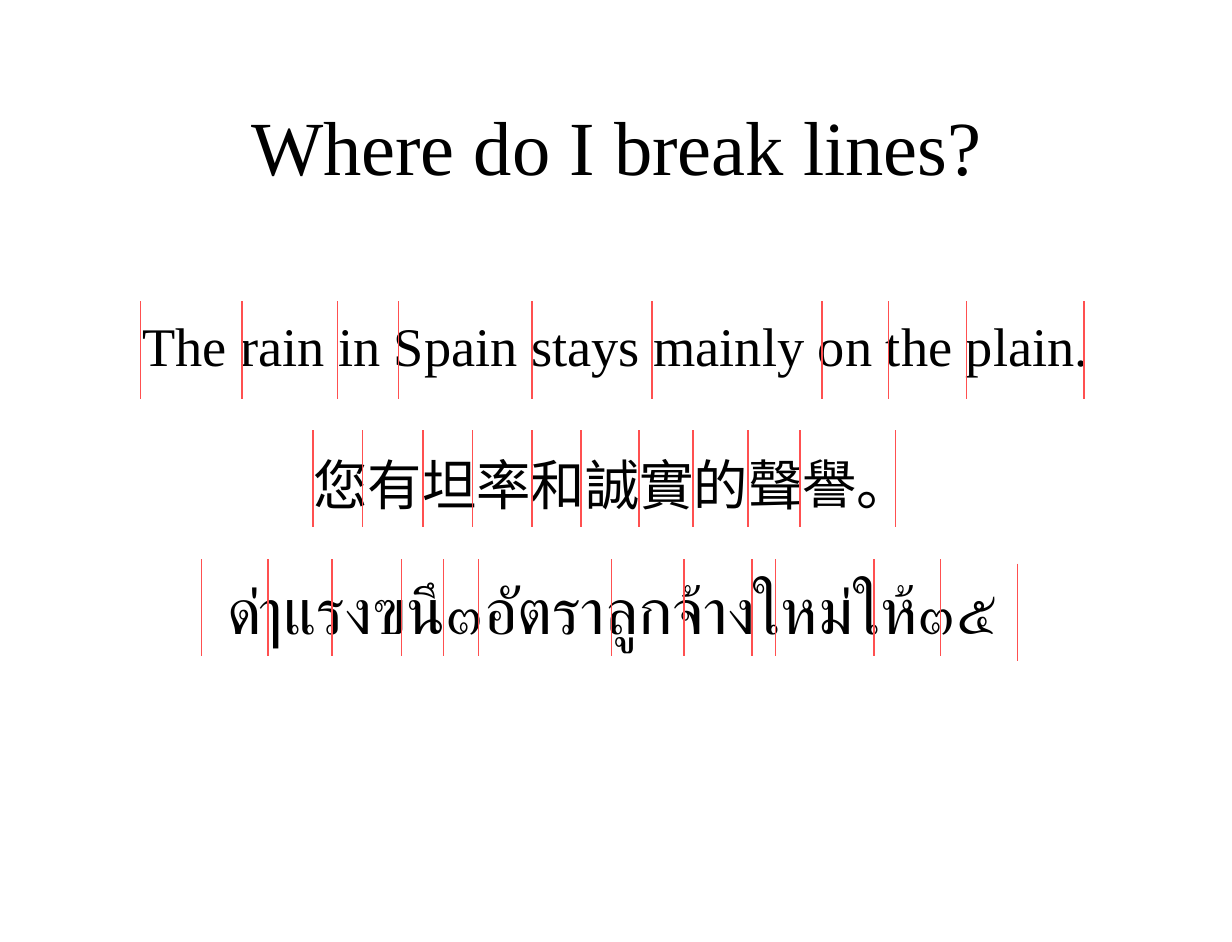
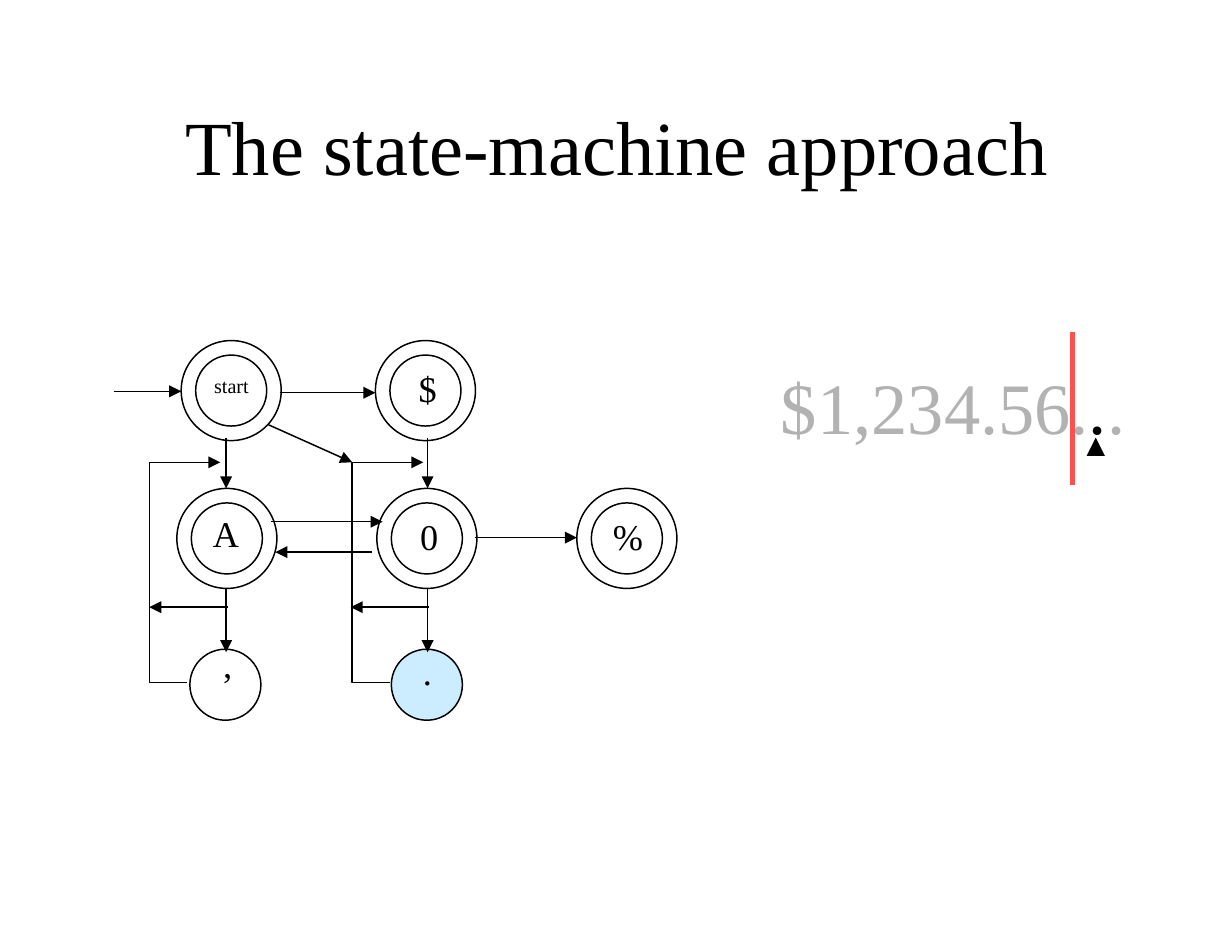
from dataclasses import dataclass

from lxml.etree import SubElement
from pptx import Presentation
from pptx.dml.color import RGBColor
from pptx.enum.shapes import MSO_CONNECTOR, MSO_SHAPE
from pptx.enum.text import MSO_ANCHOR, MSO_AUTO_SIZE, PP_ALIGN
from pptx.oxml.ns import qn
from pptx.util import Inches, Pt


@dataclass(frozen=True)
class Theme:
    font: str = "Times New Roman"
    script_font: str = "Calibri"
    ink: RGBColor = RGBColor(0x00, 0x00, 0x00)
    mark: RGBColor = RGBColor(0xFF, 0x50, 0x50)
    faded: RGBColor = RGBColor(0xB2, 0xB2, 0xB2)
    current: RGBColor = RGBColor(0xCC, 0xEC, 0xFF)
    title_size: float = 38
    sample_size: float = 27
    thai_size: float = 32
    amount_size: float = 36
    label_size: float = 18
    small_size: float = 10
    thin: float = 0.75


class Deck:
    TITLE_LAYOUTS = {"body": 1, "title only": 5}
    OUTER, INNER = 0.69, 0.49

    def __init__(self, theme):
        self.theme = theme
        self.presentation = Presentation()
        self.presentation.slide_width = Inches(8.5)
        self.presentation.slide_height = Inches(6.5)
        self.slide = None

    def add_slide(self, title, layout):
        layouts = self.presentation.slide_layouts
        self.slide = self.presentation.slides.add_slide(layouts[self.TITLE_LAYOUTS[layout]])
        shape = self.slide.shapes.title
        self.place(shape, 0.64, 0.58, 7.23, 1.08)
        self.fill_text(shape, [(title, self.theme.ink)], self.theme.title_size,
                       align=PP_ALIGN.CENTER, insets=(0.09, 0.1))

    def place(self, shape, left, top, width, height):
        shape.left, shape.top = Inches(left), Inches(top)
        shape.width, shape.height = Inches(width), Inches(height)

    def fill_text(self, shape, runs, size, font=None, align=PP_ALIGN.LEFT,
                  anchor=MSO_ANCHOR.TOP, insets=(0.1, 0.05), spacing=1.0):
        """Fill a shape with one paragraph of (text, color) runs."""
        frame = shape.text_frame
        frame.word_wrap = True
        frame.auto_size = MSO_AUTO_SIZE.NONE
        frame.vertical_anchor = anchor
        frame.margin_left = frame.margin_right = Inches(insets[0])
        frame.margin_top = frame.margin_bottom = Inches(insets[1])
        paragraph = frame.paragraphs[0]
        paragraph.alignment = align
        paragraph.line_spacing = spacing
        paragraph.space_before = Pt(0)
        for text, color in runs:
            run = paragraph.add_run()
            run.text = text
            run.font.name = font or self.theme.font
            run.font.size = Pt(size)
            run.font.color.rgb = color

    def text(self, runs, left, top, width, height, size, **style):
        shape = self.slide.shapes.add_textbox(
            Inches(left), Inches(top), Inches(width), Inches(height))
        self.fill_text(shape, runs, size, **style)

    def label(self, text, left, top, size=None):
        self.text([(text, self.theme.ink)], left, top, 0.57, 0.46,
                  size or self.theme.label_size)

    def body(self, text, left, top, width, height, size, **style):
        shape = self.slide.placeholders[1]
        self.place(shape, left, top, width, height)
        properties = shape.text_frame.paragraphs[0]._p.get_or_add_pPr()
        properties.set("marL", "0")
        properties.set("indent", "0")
        SubElement(properties, qn("a:buNone"))
        self.fill_text(shape, [(text, self.theme.ink)], size, **style)

    def stroke(self, shape, color=None, width=None, arrow=False):
        shape.line.color.rgb = color or self.theme.ink
        shape.line.width = Pt(width or self.theme.thin)
        if arrow:
            SubElement(shape.line._get_or_add_ln(), qn("a:tailEnd"), type="triangle")

    def line(self, start, end, **stroke):
        points = [Inches(value) for value in (*start, *end)]
        connector = self.slide.shapes.add_connector(MSO_CONNECTOR.STRAIGHT, *points)
        self.stroke(connector, **stroke)
        SubElement(connector._element.spPr, qn("a:effectLst"))

    def arrow(self, start, end, width=None):
        self.line(start, end, width=width, arrow=True)

    def breaks(self, positions, top, height=0.67):
        """Mark the possible line breaks of one sample line."""
        for x in positions:
            self.line((x, top), (x, top + height), color=self.theme.mark)

    def circle(self, left, top, diameter, fill=None, shapes=None):
        shape = (shapes or self.slide.shapes).add_shape(
            MSO_SHAPE.OVAL, Inches(left), Inches(top), Inches(diameter), Inches(diameter))
        shape.shadow.inherit = False
        if fill:
            shape.fill.solid()
            shape.fill.fore_color.rgb = fill
        else:
            shape.fill.background()
        self.stroke(shape)

    def accepting_state(self, left, top):
        shapes = self.slide.shapes.add_group_shape().shapes
        gap = (self.OUTER - self.INNER) / 2
        for inset, diameter in [(0, self.OUTER), (gap, self.INNER)]:
            shape_left, shape_top = left + inset, top + inset
            self.circle(shape_left, shape_top, diameter, shapes=shapes)

    def path_arrow(self, points):
        start, *others = [(Inches(x), Inches(y)) for x, y in points]
        builder = self.slide.shapes.build_freeform(*start)
        builder.add_line_segments(others, close=False)
        shape = builder.convert_to_shape()
        shape.shadow.inherit = False
        shape.fill.background()
        self.stroke(shape, arrow=True)


def line_break_slide(deck):
    theme = deck.theme
    deck.add_slide("Where do I break lines?", "body")
    centered = dict(align=PP_ALIGN.CENTER, insets=(0.09, 0.04))
    tight = dict(centered, anchor=MSO_ANCHOR.MIDDLE, spacing=0.8)
    deck.body("The rain in Spain stays mainly on the plain.",
              0.58, 2.17, 7.33, 0.5, theme.sample_size, **tight)
    deck.text([("您有坦率和誠實的聲譽。", theme.ink)], 0.56, 3.13, 7.33, 0.5,
              theme.sample_size, font=theme.script_font, **tight)
    deck.text([("ด่ๅแรงฃนึ๓อัตราลูกจ้างใหม่ให้๓๕", theme.ink)], 0.56, 3.89, 7.33, 0.51,
              theme.thai_size, font=theme.script_font, **centered)
    deck.breaks([0.97, 1.67, 2.33, 2.75, 3.67, 4.5, 5.67, 6.13, 6.67, 7.48], 2.08)
    deck.breaks([2.16, 2.5, 2.92, 3.26, 3.67, 4.01, 4.41, 4.78, 5.16, 5.52, 6.18], 2.97)
    deck.breaks([1.39, 1.85, 2.29, 2.77, 3.06, 3.3, 4.22, 4.72, 5.19, 5.35, 6.03, 6.49], 3.86)
    deck.breaks([7.02], 3.89)


def state_machine_slide(deck):
    theme = deck.theme
    deck.add_slide("The state-machine approach", "title only")

    for left, top in [(1.25, 2.35), (2.59, 2.35), (1.22, 3.37), (2.6, 3.37), (3.98, 3.37)]:
        deck.accepting_state(left, top)
    deck.circle(1.31, 4.48, deck.INNER)
    deck.circle(2.7, 4.48, deck.INNER, fill=theme.current)

    for x in (1.56, 2.95):
        deck.arrow((x, 3.02), (x, 3.37))
        deck.arrow((x, 4.06), (x, 4.5))
        deck.arrow((x + 0.01, 4.19), (x - 0.53, 4.19))
    for x in (1.03, 2.43):
        deck.path_arrow([(x + 0.26, 4.71), (x, 4.71), (x, 3.19), (x + 0.49, 3.19)])
    for start, end in [
        ((0.79, 2.7), (1.25, 2.7)),
        ((1.93, 2.71), (2.59, 2.71)),
        ((1.85, 2.93), (2.43, 3.19)),
        ((1.87, 3.6), (2.64, 3.6)),
        ((2.57, 3.81), (1.9, 3.81)),
        ((3.28, 3.71), (3.98, 3.71)),
    ]:
        deck.arrow(start, end)

    deck.label("start", 1.38, 2.53, theme.small_size)
    for text, left, top in [("$", 2.79, 2.48), ("A", 1.37, 3.48), ("0", 2.8, 3.5),
                            ("%", 4.13, 3.5), ("’", 1.43, 4.52), (".", 2.82, 4.43)]:
        deck.label(text, left, top)

    deck.text([("$1,234.56.", theme.faded), (".", theme.ink), (".", theme.faded)],
              5.29, 2.4, 2.64, 0.7, theme.amount_size, insets=(0.1, 0.1))
    deck.arrow((7.56, 3.07), (7.56, 3.02), width=3)
    deck.line((7.4, 2.29), (7.4, 3.35), color=theme.mark, width=2.25)


def main():
    deck = Deck(Theme())
    line_break_slide(deck)
    state_machine_slide(deck)
    deck.presentation.save("out.pptx")


if __name__ == "__main__":
    main()
